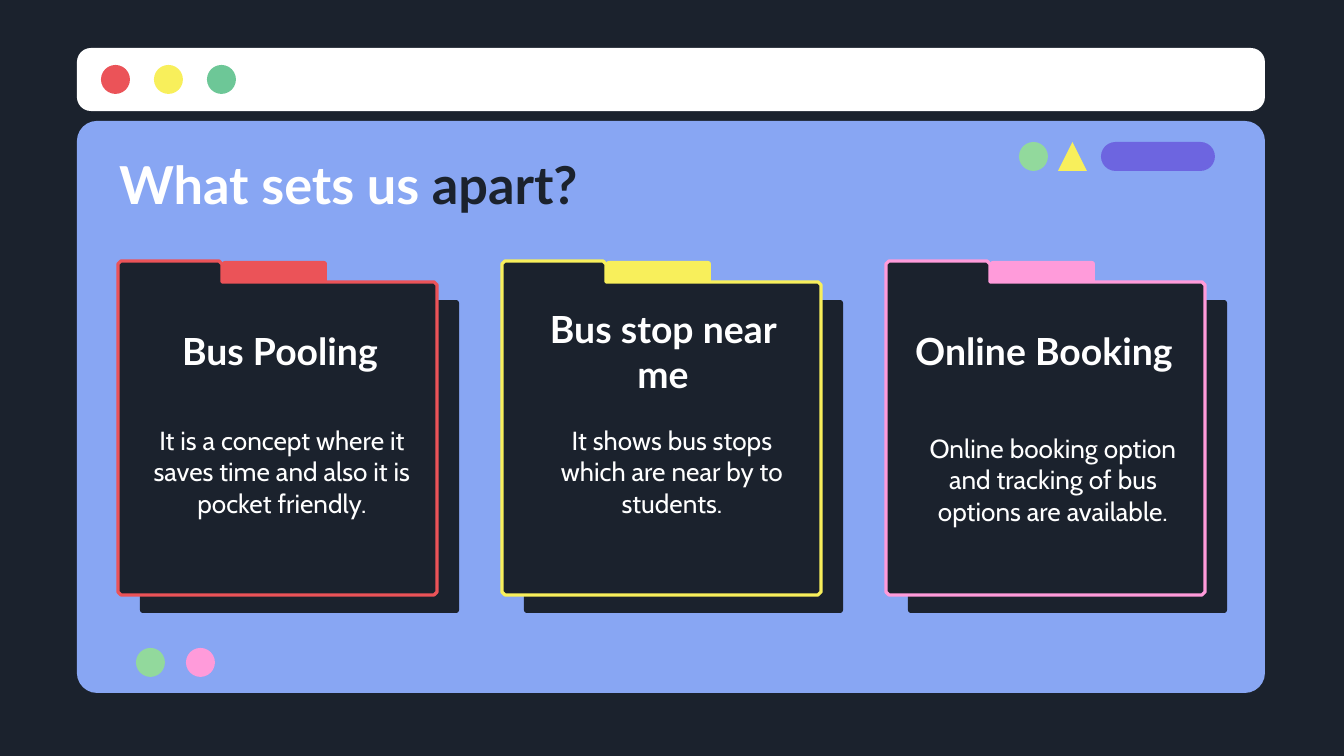
from pptx import Presentation
from pptx import util as u
from pptx.dml.color import RGBColor
from pptx.enum import shapes, text

PX = 914400 / 134.4  # EMU in one px
COLOURS = {
    "ink": "1B222D", "white": "FFFFFF", "blue": "88A6F3", "red": "EB5358",
    "yellow": "F8EF5B", "green": "6DC797", "mint": "92D99C",
    "pink": "FF9BDA", "violet": "6D65E0",
}
FORMATS = {
    "headline": {"name": "Lato", "size": u.Pt(28), "bold": True},
    "heading": {"name": "Lato", "size": u.Pt(20), "bold": True},
    "body": {"name": "Cabin", "size": u.Pt(14), "bold": False},
}
SHAPE = shapes.MSO_SHAPE
DOT = 29
FOLDER_PITCH = 384

# heading, its x; body, its x and y (all relative to the folder)
FOLDERS = [
    ("red", "Bus Pooling", 18,
     "It is a concept where it saves time and also it is pocket friendly.", 20, 150),
    ("yellow", "Bus stop near me", 17,
     "It shows bus stops which are near by to students.", 26, 150),
    ("pink", "Online Booking", 14,
     "Online booking option and tracking of bus options are available.", 23, 158),
]


def emu(*lengths):
    return [u.Emu(round(length * PX)) for length in lengths]


def rgb(colour):
    return RGBColor.from_string(COLOURS[colour])


def paint(shape, colour, outline=None):
    shape.shadow.inherit = False
    shape.fill.solid()
    shape.fill.fore_color.rgb = rgb(colour)
    if outline:
        shape.line.color.rgb = rgb(outline)
        shape.line.width = u.Pt(1.75)
    else:
        shape.line.fill.background()


def add_block(page, kind, colour, left, top, width, height, radius=None):
    shape = page.shapes.add_shape(kind, *emu(left, top, width, height))
    if radius is not None:
        shape.adjustments[0] = radius / min(width, height)
    paint(shape, colour)


def add_text(page, spans, style, left, top, width, height, align, anchor):
    box = page.shapes.add_textbox(*emu(left, top, width, height))
    frame = box.text_frame
    frame.word_wrap = True
    frame.vertical_anchor = anchor
    for side in ("left", "top", "right", "bottom"):
        setattr(frame, f"margin_{side}", u.Inches(0.1))
    para = frame.paragraphs[0]
    para.alignment = align
    for words, colour in spans:
        span = para.add_run()
        span.text = words
        for key, value in FORMATS[style].items():
            setattr(span.font, key, value)
        span.font.color.rgb = rgb(colour)


def add_dots(page, left, top, pitch, colours):
    for index, colour in enumerate(colours):
        add_block(page, SHAPE.OVAL, colour, left + index * pitch, top, DOT, DOT)


def add_title_bar(page, left, top, width, height):
    add_block(page, SHAPE.ROUNDED_RECTANGLE, "white", left, top, width, height, 14)
    add_dots(page, left + 24, top + 17, 53, ("red", "yellow", "green"))


def add_window(page, left, top, width, height):
    add_block(page, SHAPE.ROUNDED_RECTANGLE, "blue", left, top, width, height, 20)
    # Ornaments at top right
    row = top + 21
    add_dots(page, left + 942, row, 0, ("mint",))
    add_block(page, SHAPE.ISOSCELES_TRIANGLE, "yellow", left + 981, row, DOT, DOT)
    add_block(page, SHAPE.ROUNDED_RECTANGLE, "violet", left + 1024, row, 114, DOT, DOT / 2)
    # Dots at bottom left
    add_dots(page, left + 59, top + 527, 50, ("mint", "pink"))
    # Headline
    add_text(page, [("What sets us", "white"), (" apart?", "ink")], "headline",
             left + 29, top + 21, 1133, 83,
             text.PP_ALIGN.LEFT, text.MSO_ANCHOR.MIDDLE)


def add_folder(page, left, top, width, height, content):
    colour, heading, heading_x, body, body_x, body_y = content
    tab_width, tab_height, cut = 104, 21, 3
    # Back sheet and coloured tab
    add_block(page, SHAPE.ROUNDED_RECTANGLE, "ink", left + 22, top + 39, width, 313, cut)
    add_block(page, SHAPE.ROUNDED_RECTANGLE, colour, left + tab_width, top, 105, 40, cut)
    # Front sheet with its own tab
    outline = [
        (cut, 0), (tab_width - cut, 0), (tab_width, cut), (tab_width, tab_height),
        (width - cut, tab_height), (width, tab_height + cut),
        (width, height - cut), (width - cut, height),
        (cut, height), (0, height - cut), (0, cut),
    ]
    points = [(left + x, top + y) for x, y in outline]
    builder = page.shapes.build_freeform(*points[0], scale=PX)
    builder.add_line_segments(points[1:], close=True)
    paint(builder.convert_to_shape(), "ink", colour)
    # Words
    centre = text.PP_ALIGN.CENTER
    add_text(page, [(heading, "white")], "heading", left + heading_x, top + 51,
             288, 78, centre, text.MSO_ANCHOR.MIDDLE)
    add_text(page, [(body, "white")], "body", left + body_x, top + body_y,
             288, 183, centre, text.MSO_ANCHOR.TOP)


def main():
    deck = Presentation()
    deck.slide_width, deck.slide_height = emu(1344, 756)
    page = deck.slides.add_slide(deck.slide_layouts[6])
    page.background.fill.solid()
    page.background.fill.fore_color.rgb = rgb("ink")
    add_window(page, 77, 121, 1188, 572)
    add_title_bar(page, 77, 48, 1188, 63)
    for index, content in enumerate(FOLDERS):
        add_folder(page, 118 + index * FOLDER_PITCH, 261, 319, 334, content)
    deck.save("out.pptx")


if __name__ == "__main__":
    main()
